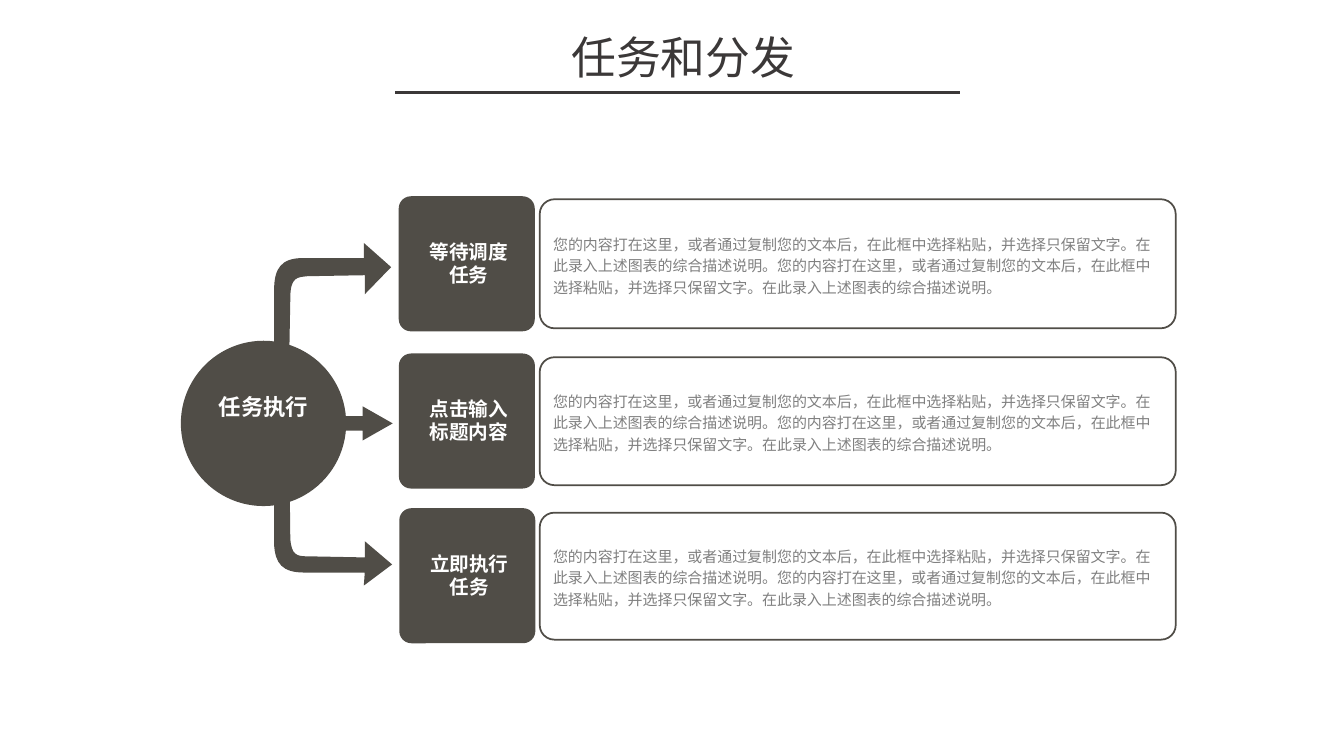
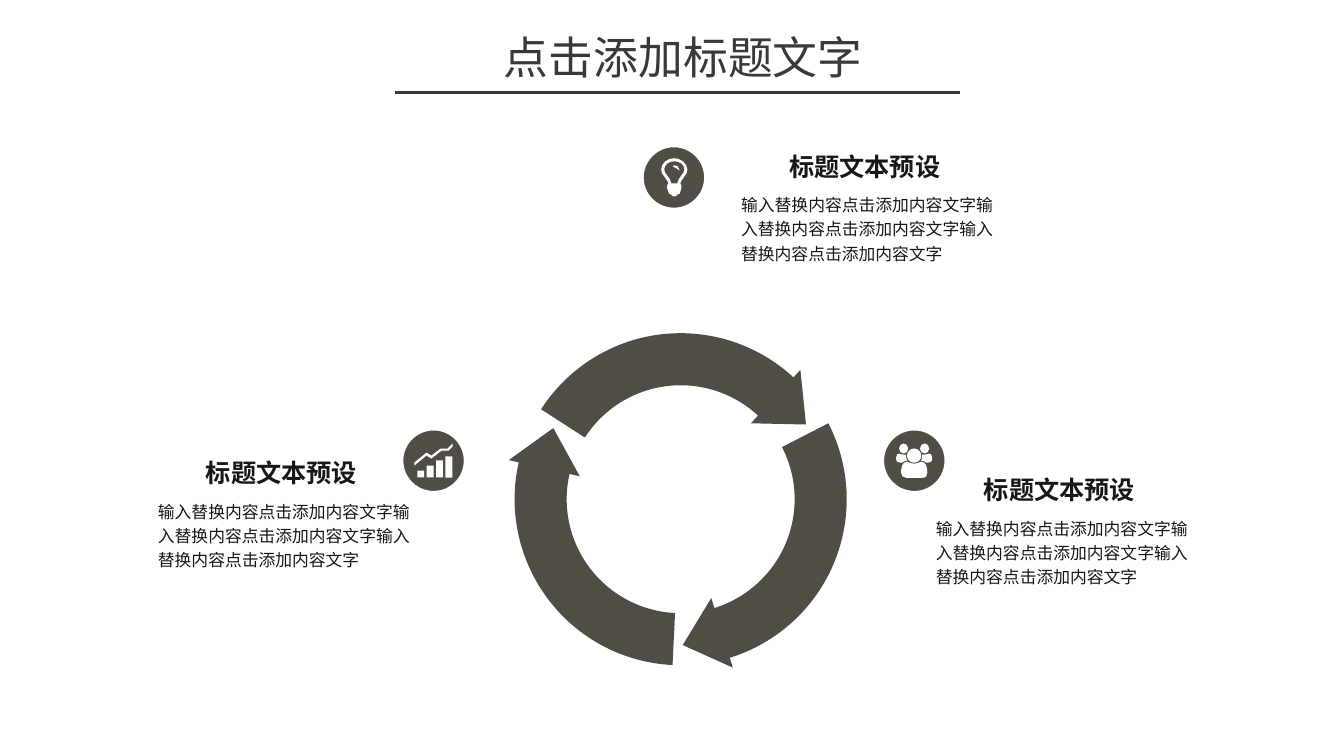
from dataclasses import dataclass
from math import cos, radians, sin, tan

from lxml import etree
from pptx import Presentation
from pptx.dml.color import RGBColor
from pptx.enum.shapes import MSO_CONNECTOR, MSO_SHAPE
from pptx.enum.text import MSO_ANCHOR, PP_ALIGN
from pptx.oxml.ns import qn
from pptx.util import Pt

OVAL, RECTANGLE = MSO_SHAPE.OVAL, MSO_SHAPE.RECTANGLE
ROUNDED, RIGHT_ARROW = MSO_SHAPE.ROUNDED_RECTANGLE, MSO_SHAPE.RIGHT_ARROW
STRAIGHT = MSO_CONNECTOR.STRAIGHT
TOP, MIDDLE = MSO_ANCHOR.TOP, MSO_ANCHOR.MIDDLE
LEFT, CENTER = PP_ALIGN.LEFT, PP_ALIGN.CENTER


@dataclass(frozen=True)
class Theme:
    font: str = "Noto Sans CJK SC"
    stone: str = "504D47"
    title: str = "3B3838"
    ink: str = "181717"
    gray: str = "808080"
    white: str = "FFFFFF"
    title_size: float = 32
    heading_size: float = 18
    hub_size: float = 16
    card_size: float = 14
    body_size: float = 12
    panel_size: float = 10.7


theme = Theme()


def add_block(slide, kind, box, fill=None, line=None, text=None, size=theme.body_size,
              color=theme.ink, bold=False, align=LEFT, anchor=TOP,
              insets=(7.2, 3.6, 7.2, 3.6), spacing=1.0):
    lengths = [Pt(value) for value in box]
    if kind is None:
        shape = slide.shapes.add_textbox(*lengths)
    else:
        shape = slide.shapes.add_shape(kind, *lengths)
        shape.shadow.inherit = False
        if fill:
            shape.fill.solid()
            shape.fill.fore_color.rgb = RGBColor.from_string(fill)
        else:
            shape.fill.background()
        if line:
            shape.line.color.rgb = RGBColor.from_string(line[0])
            shape.line.width = Pt(line[1])
        else:
            shape.line.fill.background()
    if text:
        frame = shape.text_frame
        frame.text = text
        frame.word_wrap = True
        frame.vertical_anchor = anchor
        frame.margin_left, frame.margin_top, frame.margin_right, frame.margin_bottom = map(Pt, insets)
        paragraph = frame.paragraphs[0]
        paragraph.alignment = align
        paragraph.line_spacing = spacing
        run = paragraph.runs[0]
        run.font.size = Pt(size)
        run.font.bold = bold
        run.font.color.rgb = RGBColor.from_string(color)
        run.font.name = theme.font
        etree.SubElement(run._r.get_or_add_rPr(), qn("a:ea"), typeface=theme.font)
    return shape


def add_outline(slide, contours, fill):
    first_x, first_y = contours[0][0]
    builder = slide.shapes.build_freeform(Pt(first_x), Pt(first_y), scale=1.0)
    for index, (start, *segments) in enumerate(contours):
        if index:
            builder.move_to(Pt(start[0]), Pt(start[1]))
        points = [segment[place:place + 2] for segment in segments
                  for place in range(0, len(segment), 2)]
        builder.add_line_segments([(Pt(x), Pt(y)) for x, y in points], close=True)
    shape = builder.convert_to_shape()
    nodes = iter(list(shape._element.iter(qn("a:lnTo"))))
    for contour in contours:
        for segment in contour[1:]:
            node = next(nodes)
            if len(segment) == 6:
                node.tag = qn("a:cubicBezTo")
                for extra in (next(nodes), next(nodes)):
                    node.append(extra[0])
                    extra.getparent().remove(extra)
    shape.shadow.inherit = False
    shape.fill.solid()
    shape.fill.fore_color.rgb = RGBColor.from_string(fill)
    shape.line.fill.background()
    return shape


presentation = Presentation()
presentation.slide_width, presentation.slide_height = Pt(960), Pt(540)
slides = []
for title in ("任务和分发", "点击添加标题文字"):
    slide = presentation.slides.add_slide(presentation.slide_layouts[6])
    add_block(slide, None, (270, 17.3, 436.3, 46.1), text=title, size=theme.title_size,
              color=theme.title, align=CENTER, insets=(7.2, 4, 7.2, 4))
    rule = slide.shapes.add_connector(STRAIGHT, Pt(282.5), Pt(66.2), Pt(685.4), Pt(66.2))
    rule.line.color.rgb = RGBColor.from_string(theme.title)
    rule.line.width = Pt(2)
    etree.SubElement(rule._element.spPr, qn("a:effectLst"))
    slides.append(slide)
task_slide, cycle_slide = slides

lower_arrow = [
    (206.6, 314.6), (207.4, 384.5), (208.1, 396.7, 212.4, 397.4, 219.6, 397.4), (260.6, 398.2),
    (260.6, 386.6), (280.1, 403.2), (259.9, 418.3), (260.6, 409), (217.4, 409),
    (201.6, 409, 196.6, 402.5, 195.8, 388.8), (195.8, 313.2),
    (198, 301, 204.5, 302.4, 206.6, 314.6),
]
upper_arrow = [
    (205.9, 293), (207.4, 212.4), (207.4, 198, 212.4, 198, 219.6, 197.3), (260.6, 196.6),
    (260.6, 210.2), (279.4, 190.8), (259.9, 173.5), (259.9, 184.3), (216.7, 184.3),
    (200.9, 184.3, 195.8, 191.5, 195.8, 207.4), (195.8, 294.5),
    (197.3, 308.9, 203.8, 307.4, 205.9, 293),
]
for arrow in (lower_arrow, upper_arrow):
    add_outline(task_slide, [arrow], theme.stone)
middle_arrow = add_block(task_slide, RIGHT_ARROW, (180.7, 290.2, 99.8, 24.5), fill=theme.stone)
middle_arrow.adjustments[0] = 0.42
middle_arrow.adjustments[1] = 0.88
add_block(task_slide, OVAL, (129.2, 243.4, 118.1, 118.1), fill=theme.stone, text="任务执行",
          size=theme.hub_size, color=theme.white, bold=True, align=CENTER, anchor=MIDDLE,
          insets=(0, 0, 0, 24))

description = "您的内容打在这里，或者通过复制您的文本后，在此框中选择粘贴，并选择只保留文字。在此录入上述图表的综合描述说明。" * 2
tasks = [
    ("等待调度任务", 284.8, 140.2, 142.3, 92.2),
    ("点击输入标题内容", 284.9, 252.5, 255.2, 91.4),
    ("立即执行任务", 285.2, 363, 366.2, 90.7),
]
for label, card_left, card_top, panel_top, panel_height in tasks:
    panel = add_block(task_slide, ROUNDED, (385.5, panel_top, 454.3, panel_height),
                      line=(theme.stone, 1.25), text=description, size=theme.panel_size,
                      color=theme.gray, anchor=MIDDLE, insets=(6.5, 3.2, 6.5, 3.2), spacing=1.2)
    panel.adjustments[0] = 0.115
    card = add_block(task_slide, ROUNDED, (card_left, card_top, 97.2, 96.5), fill=theme.stone,
                     text=label, size=theme.card_size, color=theme.white, bold=True,
                     align=CENTER, anchor=MIDDLE, insets=(16, 0, 13, 1))
    card.adjustments[0] = 0.09

center_x, center_y = 486.2, 356.6
outer_radius, inner_radius = 118.6, 81.4
tilt = 12.8
handle = 4 / 3 * tan(radians(12.5))
for turn in (0, 120, 240):
    start, end, tip = 200 + turn, 300 + turn, 316.4 + turn
    corners = [(center_x + radius * cos(radians(angle)), center_y + radius * sin(radians(angle)))
               for radius, angle in ((outer_radius, start), (125.9, end), (104.2, tip),
                                     (73.9, end), (inner_radius, end))]
    arcs = []
    for radius, first, sweep in ((outer_radius, start, 50), (inner_radius, end, -50)):
        reach = handle if sweep > 0 else -handle
        for begin in (first, first + sweep):
            a, b = radians(begin), radians(begin + sweep)
            unit_points = [(cos(a) - reach * sin(a), sin(a) + reach * cos(a)),
                           (cos(b) + reach * sin(b), sin(b) - reach * cos(b)),
                           (cos(b), sin(b))]
            arcs.append(tuple(value for x, y in unit_points
                              for value in (center_x + radius * x, center_y + radius * y)))
    arrow = add_outline(cycle_slide, [[corners[0], *arcs[:2], *corners[1:], *arcs[2:]]], theme.stone)
    offset_x = arrow.left + arrow.width / 2 - Pt(center_x)
    offset_y = arrow.top + arrow.height / 2 - Pt(center_y)
    cosine, sine = cos(radians(tilt)), sin(radians(tilt))
    arrow.left += round(offset_x * cosine - offset_y * sine - offset_x)
    arrow.top += round(offset_x * sine + offset_y * cosine - offset_y)
    arrow.rotation = tilt

summary = "输入替换内容点击添加内容文字" * 3
topics = [
    ((458.7, 104.1), (522.3, 132.9)),
    ((630.4, 306.4), (661.4, 363.9)),
    ((287, 306.4), (105.7, 351.6)),
]
for (disc_left, disc_top), (text_left, text_top) in topics:
    add_block(cycle_slide, OVAL, (disc_left, disc_top, 45.4, 45.4), fill=theme.stone,
              line=(theme.white, 2.25))
    add_block(cycle_slide, None, (text_left, text_top, 202.3, 43.9), text=summary, spacing=1.2)
    add_block(cycle_slide, None, (text_left + 34.3, text_top - 28.6, 172.8, 27.4),
              text="标题文本预设", size=theme.heading_size, bold=True)

bulb = [
    (488.9, 126), (488.2, 127.4, 486, 129.6, 486, 131), (486.7, 132.5), (486.7, 134.6),
    (486, 136.8), (486, 138.2, 485.3, 139, 483.8, 139), (483.8, 140.8, 479.5, 140.8, 479.5, 139),
    (478.1, 139, 477.4, 138.2, 477.4, 136.8), (476.6, 134.6), (476.6, 132.5), (477.4, 131),
    (477.4, 129.6, 475.2, 127.4, 474.5, 126), (473, 124.6, 472.3, 123.1, 472.3, 121),
    (472.3, 116.6, 476.6, 113, 481.7, 113), (486, 113, 491, 116.6, 491, 121),
    (491, 123.1, 490.3, 124.6, 488.9, 126),
]
bulb_hole = [
    (481.7, 115.2), (478.1, 115.2, 474.5, 117.4, 474.5, 121),
    (474.5, 122.4, 475.2, 123.8, 476.6, 125.3), (478.1, 127.4, 479.5, 128.9, 479.5, 131),
    (483.8, 131), (483.8, 128.9, 485.3, 127.4, 486.7, 125.3),
    (488.2, 123.8, 488.9, 122.4, 488.9, 121), (488.9, 117.4, 485.3, 115.2, 481.7, 115.2),
]
gleam = [
    (485.3, 121.7), (483.8, 121.7, 483.8, 119.5, 481.7, 119.5),
    (480.2, 119.5, 480.2, 118.1, 481.7, 118.1), (483.1, 118.1, 485.3, 118.8, 485.3, 121),
]
add_outline(cycle_slide, [bulb, bulb_hole, gleam], theme.white)

left_person = [
    (644.4, 330.5), (643, 330.5), (641.5, 330.5, 640.1, 329.8, 640.1, 328.3),
    (640.1, 327.6, 640.1, 324, 642.2, 324), (642.2, 324, 643.7, 324.7, 645.1, 324.7),
    (647.3, 324.7), (647.3, 326.2, 647.3, 327.6, 648, 329),
    (646.6, 329, 645.1, 329.8, 644.4, 330.5),
]
right_person = [tuple(1306 - value if index % 2 == 0 else value
                      for index, value in enumerate(segment)) for segment in left_person]
middle_person = [
    (658.8, 341.3), (647.3, 341.3), (645.1, 341.3, 643.7, 339.8, 643.7, 337.7),
    (643.7, 334.1, 644.4, 329.8, 648, 329.8), (648.7, 329.8, 650.2, 331.2, 653, 331.2),
    (655.9, 331.2, 657.4, 329.8, 658.1, 329.8), (661.7, 329.8, 662.4, 334.1, 662.4, 337.7),
    (662.4, 339.8, 661.7, 341.3, 658.8, 341.3),
]
people = [left_person, right_person, middle_person]
for x, y, rx, ry in ((645.5, 320.4, 3.3, 3.6), (660.5, 320.4, 3.3, 3.6), (653, 325.5, 5.1, 5.1)):
    kx, ky = rx * 0.55, ry * 0.55
    people.append([
        (x + rx, y), (x + rx, y + ky, x + kx, y + ry, x, y + ry),
        (x - kx, y + ry, x - rx, y + ky, x - rx, y), (x - rx, y - ky, x - kx, y - ry, x, y - ry),
        (x + kx, y - ry, x + rx, y - ky, x + rx, y),
    ])
add_outline(cycle_slide, people, theme.white)

for index, height in enumerate((5, 8.6, 12.2, 15.1)):
    add_block(cycle_slide, RECTANGLE, (298.1 + 6.7 * index, 341.1 - height, 5, height),
              fill=theme.white)
trend = [
    (319.7, 320.4), (314.6, 320.4), (308.2, 325.4), (304.6, 323.3), (295.9, 330.5), (295.9, 332.6),
    (304.6, 325.4), (308.2, 327.6), (315.4, 321.8), (320.4, 321.8), (323.3, 319), (323.3, 316.8),
]
add_outline(cycle_slide, [trend], theme.white)

presentation.save("out.pptx")
